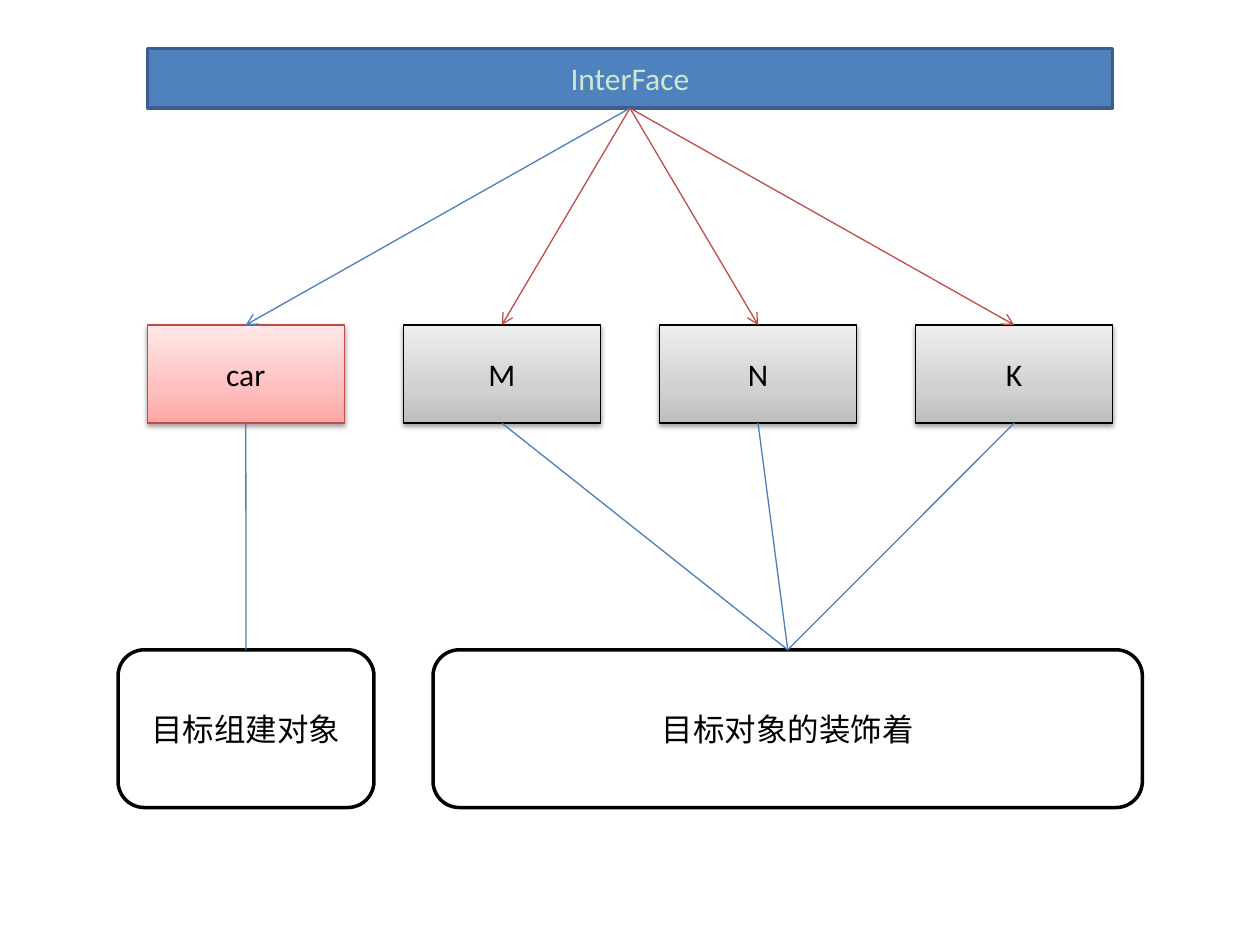
from copy import deepcopy
from dataclasses import dataclass

from lxml import etree
from pptx import Presentation
from pptx.dml.color import RGBColor
from pptx.enum.shapes import MSO_CONNECTOR, MSO_SHAPE
from pptx.enum.text import MSO_ANCHOR, PP_ALIGN
from pptx.oxml.ns import qn
from pptx.util import Cm, Pt

RECTANGLE = MSO_SHAPE.RECTANGLE
ROUNDED = MSO_SHAPE.FLOWCHART_ALTERNATE_PROCESS
STRAIGHT = MSO_CONNECTOR.STRAIGHT
MIDDLE = MSO_ANCHOR.MIDDLE
CENTER = PP_ALIGN.CENTER
TOP, BOTTOM = 0, 2


@dataclass(frozen=True)
class Theme:
    """Colours, type and line sizes of the diagram."""
    font: str = "Calibri"
    text_size: float = 18
    thick: float = 2
    thin: float = 0.75
    paper: str = "FFFFFF"
    ink: str = "000000"
    bar_text: str = "CCE8CF"
    bar_fill: str = "4F81BD"
    bar_line: str = "3A5F8C"
    blue: str = "4B7EBC"
    red: str = "BF4C48"
    red_gradient: tuple = ("FFA6A5", "FFC0BF", "FFE7E7")
    grey_gradient: tuple = ("BDBDBD", "D1D1D1", "EEEEEE")
    gradient_positions: tuple = (0, 0.35, 1)


THEME = Theme()


def color(value):
    """Return the colour for a hexadecimal value."""
    return RGBColor.from_string(value)


def set_line(line, value, width):
    """Give a line its colour and width."""
    line.color.rgb = color(value)
    line.width = Pt(width)


def add_box(slide, kind, bounds, text, line, width, text_color=THEME.ink):
    """Add an outlined shape with one centred line of text."""
    shape = slide.shapes.add_shape(kind, *(Cm(length) for length in bounds))
    shape.shadow.inherit = False
    set_line(shape.line, line, width)
    frame = shape.text_frame
    frame.word_wrap = True
    frame.vertical_anchor = MIDDLE
    paragraph = frame.paragraphs[0]
    paragraph.text = text
    paragraph.alignment = CENTER
    paragraph.font.name = THEME.font
    paragraph.font.size = Pt(THEME.text_size)
    paragraph.font.color.rgb = color(text_color)
    return shape


def add_solid_box(slide, kind, bounds, text, fill, line, text_color=THEME.ink):
    """Add a box with a plain fill and a thick outline."""
    shape = add_box(slide, kind, bounds, text, line, THEME.thick, text_color)
    shape.fill.solid()
    shape.fill.fore_color.rgb = color(fill)
    return shape


def add_shadow(shape):
    """Drop a soft shadow straight below a shape."""
    effects = shape._element.spPr.find(qn("a:effectLst"))
    shadow = etree.SubElement(effects, qn("a:outerShdw"), blurRad=str(Pt(3.1)),
                              dist=str(Pt(1.6)), dir="5400000", rotWithShape="0")
    shade = etree.SubElement(shadow, qn("a:srgbClr"), val=THEME.ink)
    etree.SubElement(shade, qn("a:alpha"), val="38000")


def add_node(slide, bounds, text, gradient, line):
    """Add a shadowed box whose gradient rises from dark to light."""
    shape = add_box(slide, RECTANGLE, bounds, text, line, THEME.thin)
    shape.fill.gradient()
    shape.fill.gradient_angle = 90
    stop_list = shape._element.spPr.find(qn("a:gradFill")).find(qn("a:gsLst"))
    stop_list.insert(1, deepcopy(stop_list[0]))
    stops = zip(shape.fill.gradient_stops, gradient, THEME.gradient_positions)
    for stop, value, position in stops:
        stop.color.rgb = color(value)
        stop.position = position
    add_shadow(shape)
    return shape


def add_link(slide, upper, lower, value, arrow=False):
    """Join the bottom of one shape to the top of another."""
    connector = slide.shapes.add_connector(STRAIGHT, 0, 0, 0, 0)
    connector.begin_connect(upper, BOTTOM)
    connector.end_connect(lower, TOP)
    set_line(connector.line, value, THEME.thin)
    if arrow:
        etree.SubElement(connector.line._get_or_add_ln(), qn("a:tailEnd"), type="arrow")
    etree.SubElement(connector._element.spPr, qn("a:effectLst"))


def main():
    """Build the decorator diagram and save it."""
    presentation = Presentation()
    presentation.slide_width, presentation.slide_height = Cm(25.4), Cm(19.05)
    slide = presentation.slides.add_slide(presentation.slide_layouts[6])
    slide.background.fill.solid()
    slide.background.fill.fore_color.rgb = color(THEME.paper)

    left, bar_width, node_width = 2.97, 19.46, 3.97
    interface = add_solid_box(slide, RECTANGLE, (left, 0.98, bar_width, 1.2), "InterFace",
                              THEME.bar_fill, THEME.bar_line, THEME.bar_text)

    names = ("car", "M", "N", "K")
    pitch = (bar_width - node_width) / (len(names) - 1)
    nodes = []
    for index, name in enumerate(names):
        gradient, line = ((THEME.grey_gradient, THEME.ink) if index
                          else (THEME.red_gradient, THEME.red))
        bounds = (left + index * pitch, 6.55, node_width, 1.98)
        nodes.append(add_node(slide, bounds, name, gradient, line))
    car, *decorators = nodes

    add_link(slide, interface, car, THEME.blue, arrow=True)
    for decorator in decorators:
        add_link(slide, interface, decorator, THEME.red, arrow=True)

    target, wrapper = (
        add_solid_box(slide, ROUNDED, (x, 13.1, width, 3.18), text, THEME.paper, THEME.ink)
        for x, width, text in ((2.38, 5.16, "目标组建对象"), (8.73, 14.3, "目标对象的装饰着")))
    add_link(slide, car, target, THEME.blue)
    for decorator in decorators:
        add_link(slide, decorator, wrapper, THEME.blue)

    presentation.save("out.pptx")


if __name__ == "__main__":
    main()
